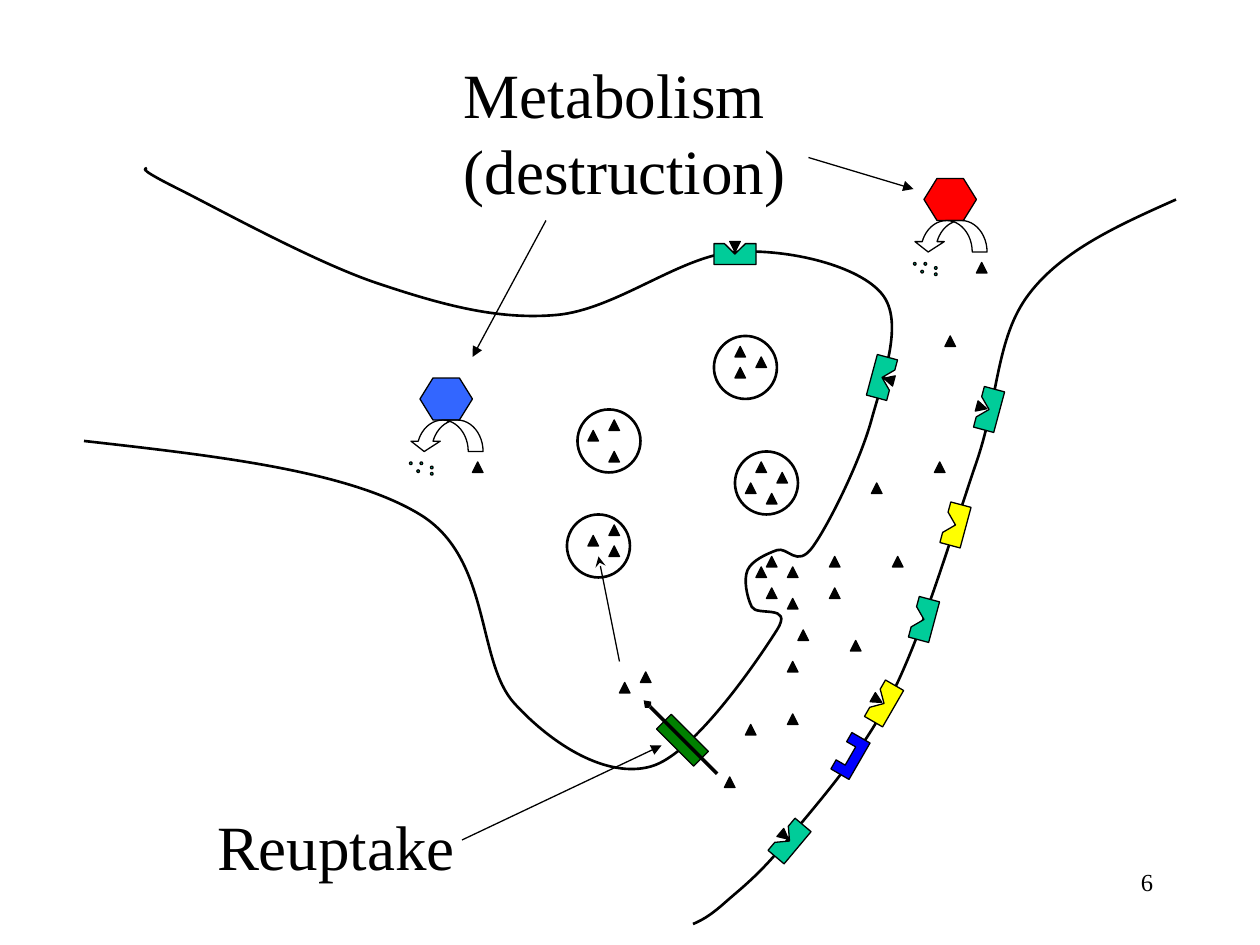
from lxml.etree import SubElement
from pptx import Presentation
from pptx.dml.color import RGBColor
from pptx.enum.shapes import MSO_SHAPE
from pptx.enum.text import MSO_ANCHOR, PP_ALIGN
from pptx.oxml.ns import qn
from pptx.util import Inches, Pt

COLUMNS, ROWS = 120, 90
CELL = Inches(10) / COLUMNS
THEME = {
    "font": "Times New Roman", "label": 36, "number": 14,
    "ink": "000000", "paper": "FFFFFF", "teal": "00CC99", "yellow": "FFFF00",
    "blue": "0000FF", "green": "008000", "red": "FF0000", "sky": "3366FF",
    "thin": 0.75, "membrane": 1.5, "thick": 2,
}


def cells(*values):
    return [round(value * CELL) for value in values]


def paint(shape, fill=None, weight="thin", rotation=0):
    shape.shadow.inherit = False
    shape.rotation = rotation
    if fill:
        shape.fill.solid()
        shape.fill.fore_color.rgb = RGBColor.from_string(THEME[fill])
    else:
        shape.fill.background()
    shape.line.color.rgb = RGBColor.from_string(THEME["ink"])
    shape.line.width = Pt(THEME[weight])


deck = Presentation()
deck.slide_width, deck.slide_height = cells(COLUMNS, ROWS)
page = deck.slides.add_slide(deck.slide_layouts[5])
shapes = page.shapes

# Membranes: smooth curves through anchor points
terminal = [(8, 42), (40, 49), (49, 67), (62, 73), (74, 60), (71.6, 57.8), (71.2, 54.3),
            (74, 52.4), (77.4, 52.1), (83, 40), (84, 28), (70, 24), (53, 30), (36, 27),
            (17, 18), (14, 16)]
receiver = [(112, 19), (98, 28), (93, 44), (85, 66), (75, 80), (69, 86), (66, 88)]
for anchors in (terminal, receiver):
    last = len(anchors) - 1
    controls = []
    for i in range(last):
        start, end = anchors[i], anchors[i + 1]
        before, after = anchors[max(i - 1, 0)], anchors[min(i + 2, last)]
        leave = [s + (e - b) / 6 for s, e, b in zip(start, end, before)]
        arrive = [e - (a - s) / 6 for s, e, a in zip(start, end, after)]
        if i == 0:
            leave = [(s + a) / 2 for s, a in zip(start, arrive)]
        if i == last - 1:
            arrive = [(e + l) / 2 for e, l in zip(end, leave)]
        controls += [leave, arrive, end]
    builder = shapes.build_freeform(*cells(*anchors[0]))
    builder.add_line_segments([cells(*point) for point in controls], close=False)
    membrane = builder.convert_to_shape()
    paint(membrane, weight="membrane")
    # Every three straight steps become one Bezier segment
    outline = next(membrane._element.iter(qn("a:path")))
    steps = outline.findall(qn("a:lnTo"))
    for i in range(0, len(steps), 3):
        bezier = SubElement(outline, qn("a:cubicBezTo"))
        for step in steps[i:i + 3]:
            bezier.append(step[0])
            outline.remove(step)

# Vesicles
for column, row in [(55, 39), (54, 49), (68, 32), (70, 43)]:
    paint(shapes.add_shape(MSO_SHAPE.OVAL, *cells(column, row, 6, 6)), "paper", "membrane")

# Receptors with a V-shaped or a square notch
v_notch = [(1, 0), (2, 1), (3, 0), (4, 0), (4, 2), (0, 2), (0, 0)]
square_notch = [(1, 0), (1, 1), (3, 1), (3, 0), (4, 0), (4, 2), (0, 2), (0, 0)]
receptors = [
    (68, 23.2, 0, "teal", v_notch), (82.2, 66, 300, "yellow", v_notch),
    (73.2, 79.1, 310, "teal", v_notch), (92.2, 38, 285, "teal", v_notch),
    (89, 49, 285, "yellow", v_notch), (79, 71, 300, "blue", square_notch),
    (86, 58, 285, "teal", v_notch), (82, 34.95, 105, "teal", v_notch),
]
for column, row, rotation, color, outline in receptors:
    corners = [cells(column + x, row + y) for x, y in outline]
    builder = shapes.build_freeform(*corners[0])
    builder.add_line_segments(corners[1:], close=True)
    paint(builder.convert_to_shape(), color, rotation=rotation)

# Enzymes breaking a transmitter into fragments
enzymes = [(88, 17, "red"), (40, 36, "sky")]
fragments = [(-1, 8), (-0.3, 8.75), (1, 9), (0, 8), (1, 8.4)]
for column, row, color in enzymes:
    hexagon = shapes.add_shape(MSO_SHAPE.HEXAGON, *cells(column, row, 5, 4))
    hexagon.adjustments[0] = 0.31
    paint(hexagon, color)
    turn = shapes.add_shape(MSO_SHAPE.CURVED_UP_ARROW, *cells(column - 1, row + 4, 7, 3))
    for i, value in enumerate((0.47, 0.93, 0.33)):
        turn.adjustments[i] = value
    paint(turn, rotation=180)
    for x, y in fragments:
        dot = shapes.add_shape(MSO_SHAPE.OVAL, *cells(column + x, row + y, 0.25, 0.25))
        paint(dot, "teal")

# Transmitters: free ones point up, bound ones turn with their receptor
free = [
    (58, 52), (56, 51), (58, 50), (58, 43), (58, 40), (56, 41), (72, 34), (70, 33), (70, 35),
    (71, 46), (72, 44), (73, 47), (74, 45), (75, 54), (73, 56), (72, 54), (73, 53), (75, 57),
    (75, 63), (76, 60), (79, 56), (79, 53), (89, 44), (71, 69), (75, 68), (83, 46), (85, 53),
    (69, 74), (81, 61), (90, 32), (61, 64), (59, 65),
] + [(column + 5, row + 8) for column, row, color in enzymes]
bound = [(69.5, 23, 180), (83.05, 66.15, 120), (74.2, 79.1, 130), (93, 38.3, 105),
         (84.15, 35.65, 285)]
for column, row, rotation in [(x, y, 0) for x, y in free] + bound:
    triangle = shapes.add_shape(MSO_SHAPE.ISOSCELES_TRIANGLE, *cells(column, row, 1, 1))
    paint(triangle, "ink", rotation=rotation)

# Reuptake transporter
paint(shapes.add_shape(MSO_SHAPE.RECTANGLE, *cells(64, 68, 2, 5)), "green", rotation=315)

# Arrows
for ends, weight, head, head_size in [
    ((68.3, 73.7, 61.3, 66.7), "thick", "arrow", "sm"),
    ((59, 63, 57, 53), "thin", "stealth", "med"),
    ((44, 80, 63, 71), "thin", "triangle", "med"),
    ((77, 15, 87, 18), "thin", "triangle", "med"),
    ((52, 21, 45, 34), "thin", "triangle", "med"),
]:
    arrow = shapes.add_connector(1, *cells(*ends))
    arrow.line.color.rgb = RGBColor.from_string(THEME["ink"])
    arrow.line.width = Pt(THEME[weight])
    SubElement(arrow.line._get_or_add_ln(), qn("a:tailEnd"), type=head, w=head_size,
               len=head_size)
    SubElement(arrow._element.spPr, qn("a:effectLst"))

# Labels and slide number
for box, place, text, size, align, anchor in [
    (shapes.title, (14, 73, 36, 15), "Reuptake", "label", PP_ALIGN.CENTER, MSO_ANCHOR.MIDDLE),
    (None, (43, 5, 36, 15), "Metabolism (destruction)", "label", PP_ALIGN.LEFT,
     MSO_ANCHOR.MIDDLE),
    (None, (86, 82, 25, 6), "6", "number", PP_ALIGN.RIGHT, MSO_ANCHOR.TOP),
]:
    box = box or shapes.add_textbox(*cells(*place))
    for name, value in zip(("left", "top", "width", "height"), cells(*place)):
        setattr(box, name, value)
    for name, value in {"word_wrap": True, "vertical_anchor": anchor}.items():
        setattr(box.text_frame, name, value)
    para = box.text_frame.paragraphs[0]
    para.alignment = align
    span = para.add_run()
    span.text = text
    for name, value in {"name": THEME["font"], "size": Pt(THEME[size])}.items():
        setattr(span.font, name, value)
    span.font.color.rgb = RGBColor.from_string(THEME["ink"])

deck.save("out.pptx")
